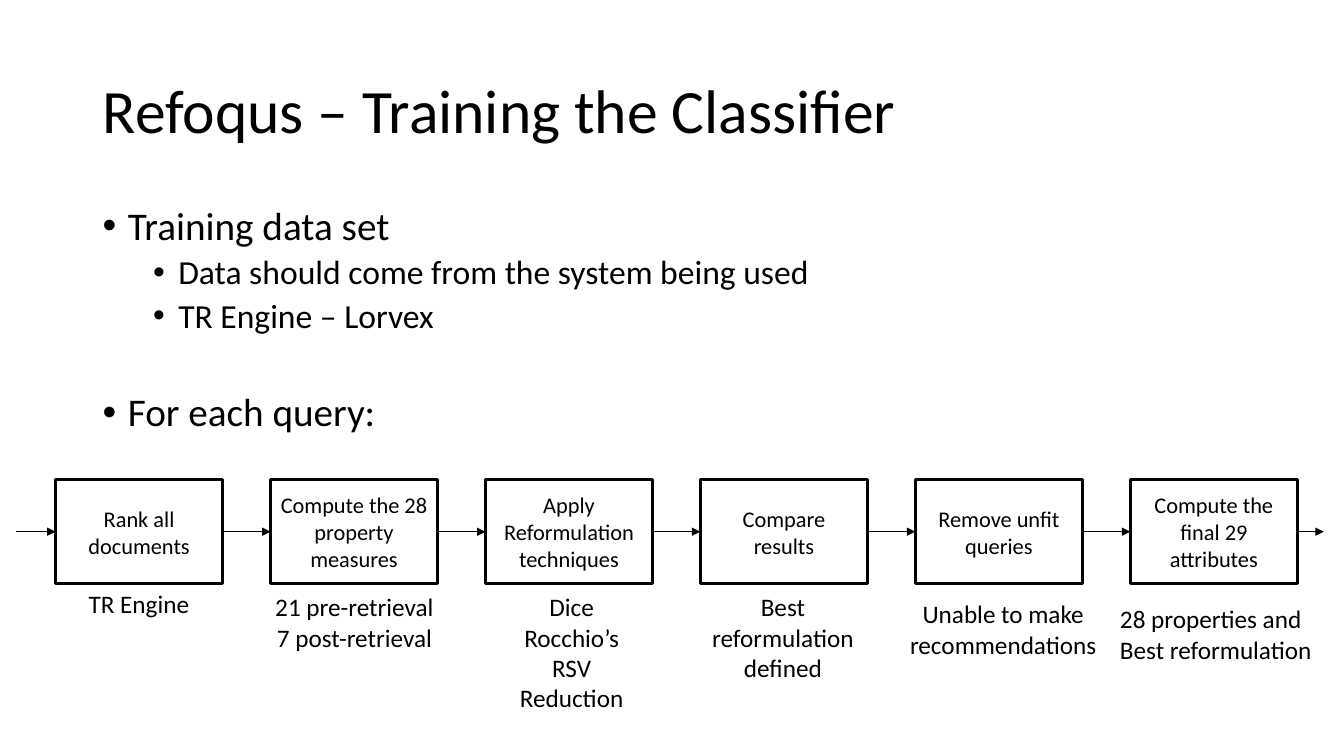
from typing import NamedTuple

from pptx import Presentation
from pptx.dml.color import RGBColor
from pptx.enum import shapes, text
from pptx.oxml import parse_xml
from pptx.oxml.ns import nsdecls, qn
from pptx.util import Inches, Pt

BLACK = RGBColor(0, 0, 0)
WHITE = RGBColor(255, 255, 255)
FONT = "Calibri"
LEFT, MID = text.PP_ALIGN.LEFT, text.PP_ALIGN.CENTER
TOP, MIDDLE = text.MSO_ANCHOR.TOP, text.MSO_ANCHOR.MIDDLE

FIRST, LAST = 0.55, 11.21
WIDE, HIGH = 1.66, 1.03
ROW = 4.76
AXIS = ROW + HIGH / 2
START, END = 0.16, 13.13


class Note(NamedTuple):
    left: float
    top: float
    width: float
    height: float
    lines: list[str]
    align: text.PP_ALIGN = MID
    wrap: bool = False


class Step(NamedTuple):
    label: str
    note: Note


class Point(NamedTuple):
    label: str
    size: int
    indent: float
    before: int


STEPS = [
    Step("Rank all documents", Note(0.78, 5.79, 1.21, 0.4, ["TR Engine"], LEFT)),
    Step("Compute the 28 property measures",
         Note(2.62, 5.82, 1.79, 0.71, ["21 pre-retrieval", "7 post-retrieval"])),
    Step("Apply Reformulation techniques",
         Note(5.05, 5.82, 1.24, 1.31, ["Dice", "Rocchio’s", "RSV", "Reduction"])),
    Step("Compare results",
         Note(6.92, 5.82, 1.69, 1.01, ["Best reformulation defined"], wrap=True)),
    Step("Remove unfit queries",
         Note(8.91, 5.89, 2.08, 0.71, ["Unable to make recommendations"], wrap=True)),
    Step("Compute the final 29 attributes",
         Note(11.01, 5.94, 2.12, 0.71, ["28 properties and", "Best reformulation"], LEFT)),
]

POINTS = [
    Point("Training data set", 28, 0.25, 10),
    Point("Data should come from the system being used", 24, 0.75, 5),
    Point("TR Engine – Lorvex", 24, 0.75, 5),
    Point("For each query:", 28, 0.25, 41),
]


def write(frame, lines: list[str], *, size: int = 18, align=LEFT,
          anchor=TOP, wrap: bool = True, pitch: float = 1.0) -> list:
    frame.word_wrap = wrap
    frame.vertical_anchor = anchor
    paras = []
    for i, line in enumerate(lines):
        para = frame.add_paragraph() if i else frame.paragraphs[0]
        para.alignment = align
        para.line_spacing = pitch
        run = para.add_run()
        run.text = line
        run.font.name = FONT
        run.font.size = Pt(size)
        run.font.color.rgb = BLACK
        paras.append(para)
    return paras


def add_text(slide, left: float, top: float, width: float, height: float):
    return slide.shapes.add_textbox(
        Inches(left), Inches(top), Inches(width), Inches(height)).text_frame


def add_points(slide, points: list[Point]) -> None:
    frame = add_text(slide, 0.92, 2, 11.5, 4.76)
    paras = write(frame, [p.label for p in points], pitch=0.9)
    for para, point in zip(paras, points):
        para.runs[0].font.size = Pt(point.size)
        para.space_before = Pt(point.before)
        props = para._p.get_or_add_pPr()
        props.set("marL", str(Inches(point.indent)))
        props.set("indent", str(Inches(-0.25)))
        props.append(parse_xml(f'<a:buFont {nsdecls("a")} typeface="Arial"/>'))
        props.append(parse_xml(f'<a:buChar {nsdecls("a")} char="•"/>'))


def add_box(slide, left: float, label: str) -> None:
    box = slide.shapes.add_shape(shapes.MSO_SHAPE.RECTANGLE, Inches(left),
                                 Inches(ROW), Inches(WIDE), Inches(HIGH))
    box.shadow.inherit = False
    box.fill.solid()
    box.fill.fore_color.rgb = WHITE
    box.line.color.rgb = BLACK
    box.line.width = Pt(2.25)
    write(box.text_frame, [label], size=16, align=MID, anchor=MIDDLE)


def add_arrow(slide, start: float, end: float) -> None:
    line = slide.shapes.add_connector(
        shapes.MSO_CONNECTOR.STRAIGHT,
        Inches(start), Inches(AXIS), Inches(end), Inches(AXIS))
    line.line.color.rgb = BLACK
    line.line.width = Pt(0.5)
    props = line._element.spPr
    props.find(qn("a:ln")).append(
        parse_xml(f'<a:tailEnd {nsdecls("a")} type="triangle"/>'))
    props.append(parse_xml(f'<a:effectLst {nsdecls("a")}/>'))


def main() -> None:
    deck = Presentation()
    deck.slide_width, deck.slide_height = Inches(13.33), Inches(7.5)
    slide = deck.slides.add_slide(deck.slide_layouts[6])

    write(add_text(slide, 0.92, 0.4, 11.5, 1.45),
          ["Refoqus – Training the Classifier"],
          size=44, anchor=MIDDLE, pitch=0.9)
    add_points(slide, POINTS)

    gap = (LAST - FIRST) / (len(STEPS) - 1)
    lefts = [FIRST + gap * i for i in range(len(STEPS))]
    for left, step in zip(lefts, STEPS):
        note = step.note
        add_box(slide, left, step.label)
        write(add_text(slide, *note[:4]), note.lines,
              align=note.align, wrap=note.wrap)

    tails = [START] + [left + WIDE for left in lefts]
    for start, end in zip(tails, lefts + [END]):
        add_arrow(slide, start, end)

    deck.save("out.pptx")


main()
